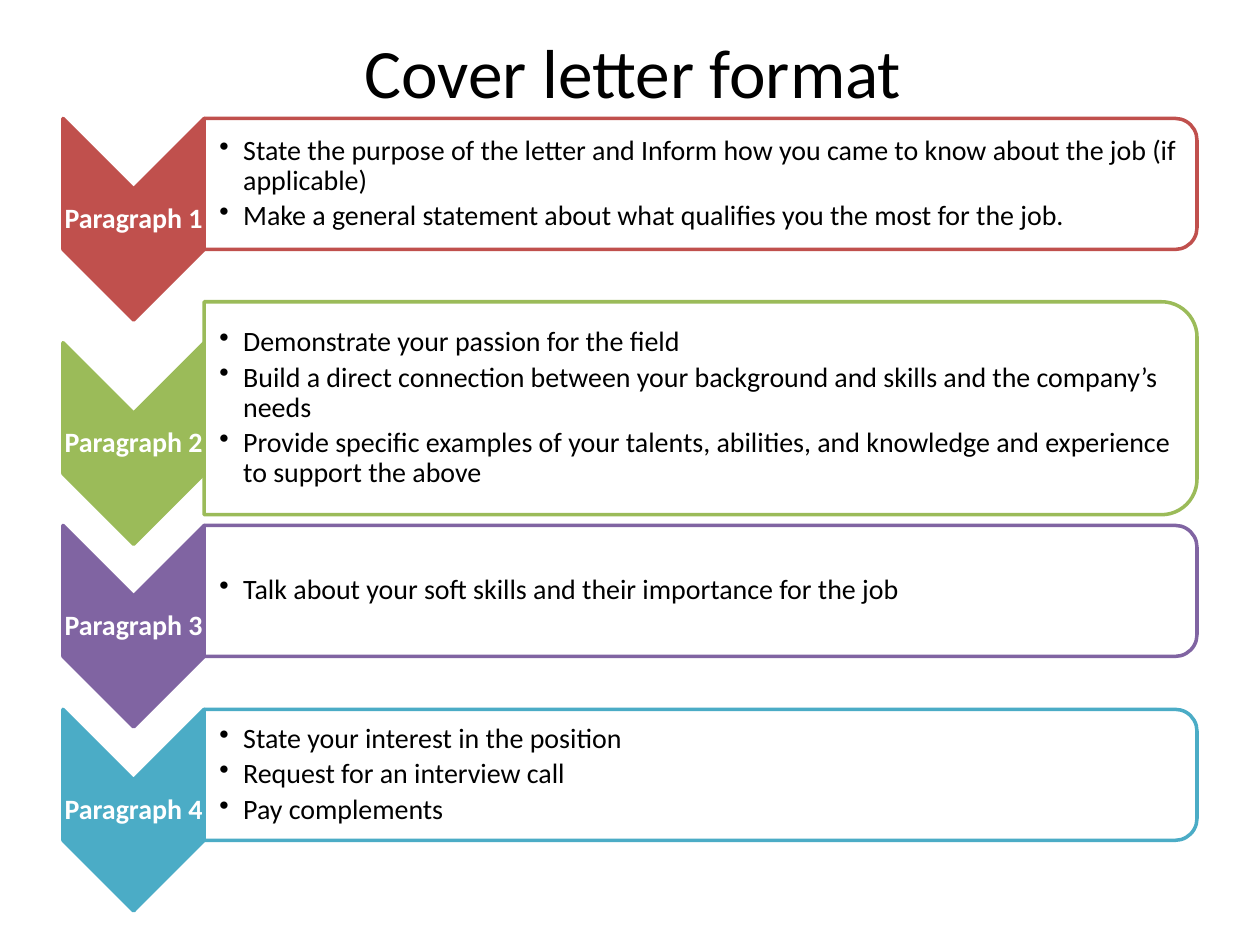
from dataclasses import dataclass

from lxml import etree
from pptx import Presentation
from pptx import util as u
from pptx.dml.color import RGBColor
from pptx.enum import shapes, text
from pptx.oxml.ns import qn


@dataclass(frozen=True)
class Theme:
    """Colours, font and type sizes of the slide."""
    font: str = "Calibri"
    ink: str = "000000"
    paper: str = "FFFFFF"
    title_size: float = 39.6
    body_size: float = 16
    line_width: float = 2


THEME = Theme()
STEP_LEFT, STEP_WIDTH, STEP_HEIGHT = 0.5, 1.12, 1.6
STEP_DROP = 0.28
PANEL_WIDTH = 7.88
LABEL_HEIGHT = 0.48

ROWS = [
    ("Paragraph 1", "C0504D", 1.46, 1.04, [
        "State the purpose of the letter and Inform how you came to know about the job (if applicable)",
        "Make a general statement about what qualifies you the most for the job.",
    ]),
    ("Paragraph 2", "9BBB59", 3.24, 1.69, [
        "Demonstrate your passion for the field",
        "Build a direct connection between your background and skills and the company’s needs",
        "Provide specific examples of your talents, abilities, and knowledge and experience to support the above",
    ]),
    ("Paragraph 3", "8064A2", 4.69, 1.04, [
        "Talk about your soft skills and their importance for the job",
    ]),
    ("Paragraph 4", "4BACC6", 6.15, 1.04, [
        "State your interest in the position",
        "Request for an interview call",
        "Pay complements",
    ]),
]


def add_bullet(para):
    """Give a paragraph a hanging round bullet."""
    para.level = 1
    para.space_after = u.Pt(2.9)
    props = para._p.get_or_add_pPr()
    props.set("marL", str(u.Inches(0.19)))
    props.set("indent", str(u.Inches(-0.19)))
    etree.SubElement(props, qn("a:buChar")).set("char", "•")


def add_text(page, lines, left, top, width, height, *, size=THEME.body_size,
             color=THEME.ink, bold=False, align=text.PP_ALIGN.LEFT, wrap=True,
             bullets=False, spacing=0.9, inset=0.01, inset_left=0.01):
    """Add a vertically centred text box with one paragraph per line."""
    box = page.shapes.add_textbox(*map(u.Inches, (left, top, width, height)))
    frame = box.text_frame
    frame.word_wrap = wrap
    frame.vertical_anchor = text.MSO_ANCHOR.MIDDLE
    frame.margin_left = u.Inches(inset_left)
    frame.margin_top = frame.margin_right = frame.margin_bottom = u.Inches(inset)
    for index, line in enumerate(lines):
        para = frame.add_paragraph() if index else frame.paragraphs[0]
        para.alignment = align
        para.line_spacing = spacing
        if bullets:
            add_bullet(para)
        span = para.add_run()
        span.text = line
        span.font.name = THEME.font
        span.font.size = u.Pt(size)
        span.font.bold = bold
        span.font.color.rgb = RGBColor.from_string(color)


def add_turned_shape(page, kind, center_x, center_y, width, height, fill, line, opacity=100):
    """Add a shape turned by 90 degrees that shows with the given width and height."""
    shape = page.shapes.add_shape(
        kind, u.Inches(center_x - height / 2), u.Inches(center_y - width / 2),
        u.Inches(height), u.Inches(width))
    shape.rotation = 90
    shape.shadow.inherit = False
    shape.fill.solid()
    shape.fill.fore_color.rgb = RGBColor.from_string(fill)
    shape.line.color.rgb = RGBColor.from_string(line)
    shape.line.width = u.Pt(THEME.line_width)
    if opacity < 100:
        color = shape._element.spPr.find(qn("a:solidFill")).find(qn("a:srgbClr"))
        etree.SubElement(color, qn("a:alpha")).set("val", str(opacity * 1000))


def add_row(page, label, color, middle, height, points):
    """Add a chevron with its label and the panel of points beside it."""
    step_middle = middle + STEP_DROP
    panel_left = STEP_LEFT + STEP_WIDTH
    corner = height * 0.05
    add_turned_shape(page, shapes.MSO_SHAPE.CHEVRON, STEP_LEFT + STEP_WIDTH / 2,
                     step_middle, STEP_WIDTH, STEP_HEIGHT, color, color)
    add_text(page, [label], STEP_LEFT, step_middle - LABEL_HEIGHT / 2, STEP_WIDTH,
             LABEL_HEIGHT, color=THEME.paper, bold=True,
             align=text.PP_ALIGN.CENTER, wrap=False)
    add_turned_shape(page, shapes.MSO_SHAPE.ROUND_2_SAME_RECTANGLE,
                     panel_left + PANEL_WIDTH / 2, middle, PANEL_WIDTH, height,
                     THEME.paper, color, opacity=90)
    add_text(page, points, panel_left, middle - height / 2 + corner,
             PANEL_WIDTH - corner, height - 2 * corner, bullets=True, inset_left=0.12)


def main():
    """Build the slide and save the deck."""
    deck = Presentation()
    deck.slide_width, deck.slide_height = u.Inches(10), u.Inches(7.5)
    page = deck.slides.add_slide(deck.slide_layouts[6])
    add_text(page, ["Cover letter format"], 0.5, 0.3, 9, 0.53, size=THEME.title_size,
             align=text.PP_ALIGN.CENTER, spacing=1.0, inset=0.05, inset_left=0.1)
    for row in ROWS:
        add_row(page, *row)
    deck.save("out.pptx")


if __name__ == "__main__":
    main()
